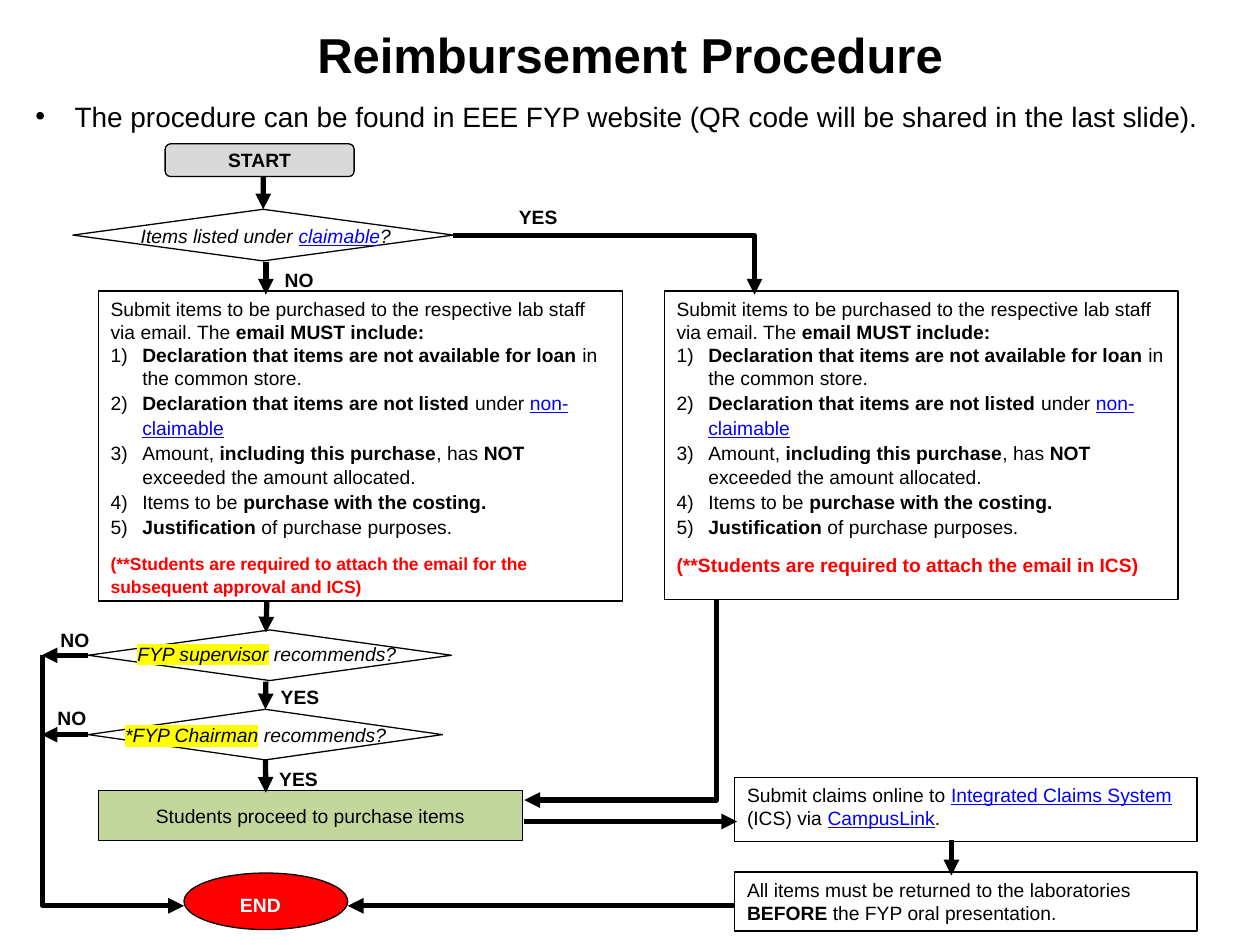
from lxml.etree import SubElement
from pptx import Presentation
from pptx.dml.color import RGBColor
from pptx.enum.shapes import MSO_CONNECTOR as LINE, MSO_SHAPE as SHAPE
from pptx.enum.text import MSO_ANCHOR as ANCHOR, MSO_AUTO_SIZE as AUTO, PP_ALIGN as ALIGN
from pptx.oxml.ns import qn
from pptx.util import Cm, Pt

COLORS = {
    "black": "000000", "white": "FFFFFF", "grey": "D9D9D9", "green": "C3D69B",
    "red": "FF0000", "link": "0000FF", "marker": "FFFF00",
}
FONT = "Arial"
LOOSE = 1.07  # line spacing of list items and labels
HANGING = Cm(0.64)
FLOW_X = 5.36  # centre of the left-hand flow

# Spans are (text, style): b bold, i italic, l link, h highlighted
INTRO = [("Submit items to be purchased to the respective lab staff via email. The ", ""),
         ("email MUST include:", "b")]
REQUIREMENTS = [
    [("Declaration that items are not available for loan", "b"), (" in the common store.", "")],
    [("Declaration that items are not listed", "b"), (" under ", ""), ("non-claimable", "l")],
    [("Amount, ", ""), ("including this purchase", "b"), (", has ", ""), ("NOT ", "b"),
     ("exceeded the amount allocated.", "")],
    [("Items to be ", ""), ("purchase with the costing.", "b")],
    [("Justification", "b"), (" of purchase purposes.", "")],
]


def rgb(name):
    return RGBColor.from_string(COLORS[name])


def write(paragraph, spans, size=11, color="black", align=ALIGN.LEFT, spacing=None):
    font = paragraph.font
    font.name, font.size, font.color.rgb = FONT, Pt(size), rgb(color)
    paragraph.alignment = align
    paragraph.line_spacing = spacing
    for text, style in spans:
        span = paragraph.add_run()
        span.text = text
        if "b" in style:
            span.font.bold = True
        if "i" in style:
            span.font.italic = True
        if "l" in style:
            span.font.underline = True
            span.font.color.rgb = rgb("link")
        if "h" in style:
            highlight = SubElement(span.font._element, qn("a:highlight"))
            SubElement(highlight, qn("a:srgbClr"), val=COLORS["marker"])


def hang(paragraph, indent):
    properties = paragraph._p.get_or_add_pPr()
    properties.set("marL", str(indent))
    properties.set("indent", str(-indent))


def place(shape, left, top, width, height):
    shape.left, shape.top, shape.width, shape.height = map(Cm, (left, top, width, height))


def add_node(page, kind, area, fill="white", spans=(), align=ALIGN.LEFT, anchor=ANCHOR.TOP):
    node = page.shapes.add_shape(kind, *map(Cm, area))
    node.shadow.inherit = False
    node.fill.solid()
    node.fill.fore_color.rgb = rgb(fill)
    node.line.color.rgb = rgb("black")
    node.line.width = Pt(0.75)
    node.text_frame.vertical_anchor = anchor
    write(node.text_frame.paragraphs[0], spans, align=align)
    return node


def add_text(page, area, spans, align=ALIGN.CENTER, anchor=ANCHOR.TOP,
             color="black", spacing=LOOSE):
    box = page.shapes.add_textbox(*map(Cm, area))
    box.text_frame.word_wrap = True
    box.text_frame.vertical_anchor = anchor
    write(box.text_frame.paragraphs[0], spans, color=color, align=align, spacing=spacing)


def add_label(page, left, top, text):
    add_text(page, (left, top, 1.4, 0.71), [(text, "b")], ALIGN.LEFT, ANCHOR.MIDDLE)


def style_arrow(arrow):
    arrow.line.color.rgb = rgb("black")
    arrow.line.width = Pt(3)
    SubElement(arrow.line._get_or_add_ln(), qn("a:tailEnd"), type="triangle")


def add_arrow(page, start, end, begin=None, finish=None):
    arrow = page.shapes.add_connector(LINE.STRAIGHT, *map(Cm, start + end))
    if begin:
        arrow.begin_connect(*begin)
    if finish:
        arrow.end_connect(*finish)
    style_arrow(arrow)
    SubElement(arrow._element.spPr, qn("a:effectLst"))


def add_bent_arrow(page, *points):
    start, *rest = [(Cm(x), Cm(y)) for x, y in points]
    builder = page.shapes.build_freeform(*start)
    builder.add_line_segments(rest, close=False)
    arrow = builder.convert_to_shape()
    arrow.shadow.inherit = False
    arrow.fill.background()
    style_arrow(arrow)


def add_email_box(page, area, warning, warning_size):
    frame = add_node(page, SHAPE.RECTANGLE, area, spans=INTRO).text_frame
    for number, spans in enumerate(REQUIREMENTS, 1):
        item = frame.add_paragraph()
        write(item, [(f"{number})\t", "")] + spans, spacing=LOOSE if number > 1 else None)
        hang(item, HANGING)
    item.space_after = Pt(8)
    write(frame.add_paragraph(), [(warning, "b")], warning_size, "red", spacing=LOOSE)


def add_heading(page):
    title, body = page.shapes.title, page.placeholders[1]
    place(title, 0, 0, 25.4, 2.16)
    title.text_frame.vertical_anchor = ANCHOR.MIDDLE
    write(title.text_frame.paragraphs[0], [("Reimbursement Procedure", "b")], 28,
          align=ALIGN.CENTER)
    place(body, 0.46, 1.88, 24.43, 1.02)
    body.text_frame.auto_size = AUTO.NONE
    bullet = body.text_frame.paragraphs[0]
    write(bullet, [("The procedure can be found in EEE FYP website "
                    "(QR code will be shared in the last slide).", "")], 16)
    bullet.space_before = Pt(12)
    hang(bullet, Cm(0.79))


def main():
    deck = Presentation()
    deck.slide_width, deck.slide_height = Cm(25.4), Cm(19.05)
    page = deck.slides.add_slide(deck.slide_layouts[1])
    add_heading(page)

    # Boxes and decisions
    add_node(page, SHAPE.FLOWCHART_ALTERNATE_PROCESS, (3.33, 2.9, 3.81, 0.66), "grey",
             [("START", "b")], ALIGN.CENTER, ANCHOR.MIDDLE)
    claimable = add_node(page, SHAPE.DIAMOND, (1.47, 4.22, 7.67, 1.04))
    add_email_box(page, (1.98, 5.87, 10.57, 6.25), "(**Students are required to attach the "
                  "email for the subsequent approval and ICS)", 10)
    add_email_box(page, (13.39, 5.87, 10.36, 6.22),
                  "(**Students are required to attach the email in ICS)", 11)
    supervisor = add_node(page, SHAPE.DIAMOND, (1.78, 12.7, 7.32, 1.02))
    chairman = add_node(page, SHAPE.DIAMOND, (1.78, 14.3, 7.14, 1.02))
    add_node(page, SHAPE.RECTANGLE, (1.98, 15.93, 8.56, 1.02), "green",
             [("Students proceed to purchase items", "")], ALIGN.CENTER, ANCHOR.MIDDLE)
    add_node(page, SHAPE.RECTANGLE, (14.81, 15.67, 9.32, 1.3), spans=[
        ("Submit claims online to ", ""), ("Integrated Claims System", "l"),
        (" (ICS) via ", ""), ("CampusLink", "l"), (".", "")])
    add_node(page, SHAPE.RECTANGLE, (14.81, 17.58, 9.32, 1.19), spans=[
        ("All items must be returned to the laboratories ", ""), ("BEFORE", "b"),
        (" the FYP oral presentation.", "")])
    add_node(page, SHAPE.OVAL, (3.71, 17.6, 3.3, 1.14), "red")

    # Texts over the decisions and the end
    add_text(page, (2.49, 4.39, 5.74, 0.99), [
        ("Items listed under ", "i"), ("claimable", "il"), ("?", "i")], spacing=None)
    add_text(page, (2.51, 12.73, 5.74, 0.86), [
        ("FYP supervisor", "ih"), (" recommends?", "i")], anchor=ANCHOR.MIDDLE)
    add_text(page, (2.08, 14.43, 6.15, 0.91), [
        ("*FYP Chairman", "ih"), (" recommends?", "i")])
    add_text(page, (4.17, 17.86, 2.16, 0.69), [("END", "b")], color="white")

    # Straight arrows
    add_arrow(page, (5.31, 3.56), (5.31, 4.22), finish=(claimable, 0))
    add_arrow(page, (FLOW_X, 5.28), (FLOW_X, 5.94))
    add_arrow(page, (5.38, 12.12), (FLOW_X, 12.75))
    add_arrow(page, (FLOW_X, 13.74), (FLOW_X, 14.3), finish=(chairman, 0))
    add_arrow(page, (FLOW_X, 15.32), (FLOW_X, 15.98), begin=(chairman, 2))
    add_arrow(page, (10.57, 16.56), (14.86, 16.56))
    add_arrow(page, (19.18, 16.94), (19.18, 17.65))
    add_arrow(page, (14.81, 18.26), (7.01, 18.26))
    for decision, y in ((supervisor, 13.21), (chairman, 14.81)):
        add_arrow(page, (1.78, y), (0.84, y), begin=(decision, 1))

    # Bent arrows
    add_bent_arrow(page, (9.14, 4.75), (15.21, 4.75), (15.21, 5.94))
    add_bent_arrow(page, (14.45, 12.09), (14.45, 16.13), (10.57, 16.13))
    add_bent_arrow(page, (0.86, 13.21), (0.86, 18.26), (3.71, 18.26))

    # Branch labels
    for left, top, text in ((10.21, 4.01, "YES"), (5.49, 5.28, "NO"), (5.41, 13.67, "YES"),
                            (5.38, 15.32, "YES"), (0.97, 12.52, "NO"), (0.91, 14.1, "NO")):
        add_label(page, left, top, text)

    deck.save("out.pptx")


if __name__ == "__main__":
    main()
